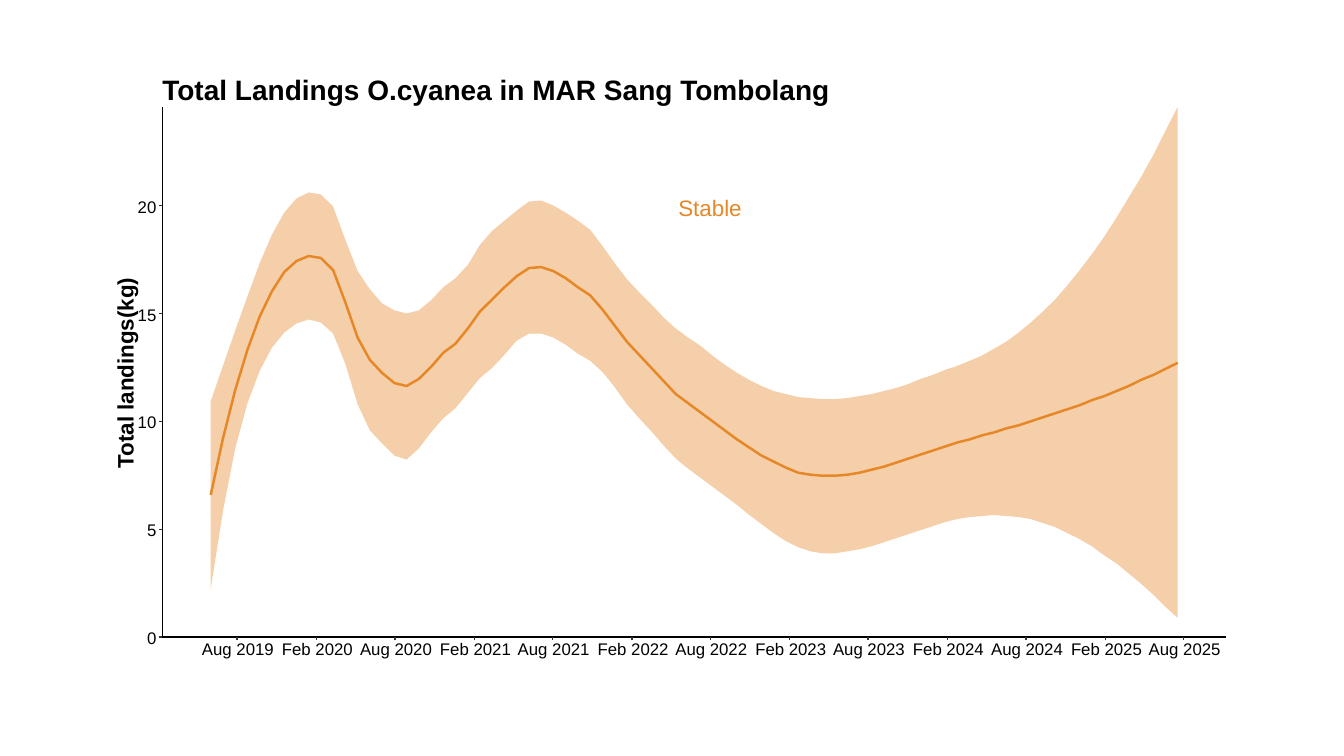
from itertools import accumulate

from lxml import etree
from pptx import Presentation
from pptx.dml.color import RGBColor
from pptx.enum.shapes import MSO_CONNECTOR
from pptx.enum.text import MSO_ANCHOR, MSO_AUTO_SIZE, PP_ALIGN
from pptx.oxml.ns import qn
from pptx.util import Inches, Pt

COLORS = {"trend": "E78828", "text": "000000", "axis": "000000", "tick": "333333"}
FONT = "Arial"

# Curves, left to right: hundredths of an inch below the top of the plot
UPPER = [
    292, 257, 222, 188, 155, 127, 105, 91, 85, 87, 99, 132, 163, 181, 195, 202,
    205, 202, 192, 179, 170, 157, 137, 123, 113, 103, 94, 93, 98, 105, 113, 122,
    138, 155, 171, 184, 196, 209, 220, 229, 237, 247, 256, 264, 271, 277, 282, 285,
    288, 289, 290, 290, 289, 287, 285, 282, 279, 275, 270, 266, 261, 257, 252, 247,
    240, 233, 224, 214, 203, 191, 177, 162, 146, 129, 110, 90, 70, 48, 24, 0,
]
TREND = [
    385, 329, 281, 241, 208, 183, 164, 153, 148, 150, 162, 194, 229, 251, 264, 274,
    277, 270, 258, 244, 235, 220, 203, 191, 179, 168, 160, 159, 163, 170, 179, 187,
    201, 217, 233, 246, 259, 272, 285, 294, 303, 312, 321, 330, 338, 346, 352, 358,
    363, 365, 366, 366, 365, 363, 360, 357, 353, 349, 345, 341, 337, 333, 330, 326,
    323, 319, 316, 312, 308, 304, 300, 296, 291, 287, 282, 277, 271, 266, 260, 254,
]
LOWER = [
    478, 401, 339, 294, 262, 239, 224, 215, 211, 214, 225, 255, 295, 321, 334, 346,
    350, 339, 323, 309, 299, 284, 269, 259, 246, 232, 225, 225, 229, 236, 245, 252,
    263, 278, 295, 309, 322, 336, 349, 359, 368, 377, 386, 395, 405, 414, 423, 431,
    437, 441, 443, 443, 441, 439, 436, 432, 428, 424, 420, 416, 412, 409, 407, 406,
    405, 406, 407, 409, 413, 417, 423, 429, 436, 445, 453, 463, 473, 484, 496, 507,
]

# Dates on the horizontal axis, with the days between them
MONTHS = [f"{month} {year}" for year in range(2019, 2026) for month in ("Feb", "Aug")][1:]
GAPS = [184, 182, 184, 181, 184, 181, 184, 181, 184, 182, 184, 181]
DAYS = list(accumulate(GAPS, initial=0))


def color(name):
    return RGBColor.from_string(COLORS[name])


def add_run(p, text, size, name="text", bold=False):
    r = p.add_run()
    r.text = text
    r.font.name = FONT
    r.font.size = Pt(size)
    r.font.bold = bold
    r.font.color.rgb = color(name)


def add_label(s, box, text, size, align=PP_ALIGN.LEFT, name="text", bold=False):
    sp = s.shapes.add_textbox(*(Inches(v) for v in box))
    tf = sp.text_frame
    tf.word_wrap = False
    p = tf.paragraphs[0]
    p.alignment = align
    add_run(p, text, size, name, bold)
    return sp


def add_rule(s, x1, y1, x2, y2, name):
    line = s.shapes.add_connector(
        MSO_CONNECTOR.STRAIGHT, Inches(x1), Inches(y1), Inches(x2), Inches(y2))
    line.line.color.rgb = color(name)
    line.line.width = Pt(0.89)
    etree.SubElement(line._element.spPr, qn("a:effectLst"))


def add_outline(s, points, close):
    start, *rest = [(Inches(x), Inches(y)) for x, y in points]
    builder = s.shapes.build_freeform(*start)
    builder.add_line_segments(rest, close=close)
    sp = builder.convert_to_shape()
    sp.shadow.inherit = False
    return sp


def add_title(s, left, top, width, height):
    sp = s.shapes.title
    sp.left, sp.top = Inches(left), Inches(top)
    sp.width, sp.height = Inches(width), Inches(height)
    tf = sp.text_frame
    tf.word_wrap = False
    tf.auto_size = MSO_AUTO_SIZE.NONE
    tf.vertical_anchor = MSO_ANCHOR.TOP
    p = tf.paragraphs[0]
    p.alignment = PP_ALIGN.LEFT
    add_run(p, "Total Landings O.cyanea in MAR Sang Tombolang", 20, bold=True)


def add_curves(s, left, top):
    first, span = left + 0.48, 9.59

    def place(depths):
        step = span / (len(depths) - 1)
        return [(first + i * step, top + d / 100) for i, d in enumerate(depths)]

    # Confidence band
    band = add_outline(s, place(UPPER) + place(LOWER)[::-1], True)
    band.fill.solid()
    band.fill.fore_color.rgb = color("trend")
    fill = band._element.spPr.find(qn("a:solidFill"))
    etree.SubElement(fill[0], qn("a:alpha"), val="40000")
    band.line.fill.background()

    # Trend line and its verdict
    trend = add_outline(s, place(TREND), False)
    trend.fill.background()
    trend.line.color.rgb = color("trend")
    trend.line.width = Pt(1.78)
    add_label(s, (left + 5.02, top + 0.82, 0.84, 0.37), "Stable", 16, name="trend")


def add_value_axis(s, left, top, height):
    bottom = top + height
    add_rule(s, left, bottom, left, top, "axis")
    for i in range(5):
        y = bottom - i * 1.07
        add_rule(s, left - 0.03, y, left, y, "tick")
        add_label(s, (left - 0.35, y - 0.14, 0.39, 0.3), str(i * 5), 12, PP_ALIGN.RIGHT)
    name = add_label(s, (left - 1.43, top + 2.44, 2.12, 0.37),
                     "Total landings(kg)", 16, bold=True)
    name.rotation = 270


def add_date_axis(s, left, bottom, width):
    add_rule(s, left, bottom, left + width, bottom, "axis")
    first, span = left + 0.74, 9.39
    for month, day in zip(MONTHS, DAYS):
        x = first + span * day / DAYS[-1]
        add_rule(s, x, bottom + 0.03, x, bottom, "tick")
        add_label(s, (x - 0.45, bottom - 0.03, 0.92, 0.3), month, 12, PP_ALIGN.CENTER)


def build_slide(prs):
    s = prs.slides.add_slide(prs.slide_layouts[5])
    left, top, width, height = 1.61, 1.06, 10.55, 5.26
    add_title(s, left - 0.1, top - 0.39, 6.88, 0.44)
    add_curves(s, left, top)
    add_value_axis(s, left, top, height)
    add_date_axis(s, left, top + height, width)


def main():
    prs = Presentation()
    prs.slide_width, prs.slide_height = Inches(13.33), Inches(7.5)
    build_slide(prs)
    prs.save("out.pptx")


if __name__ == "__main__":
    main()
